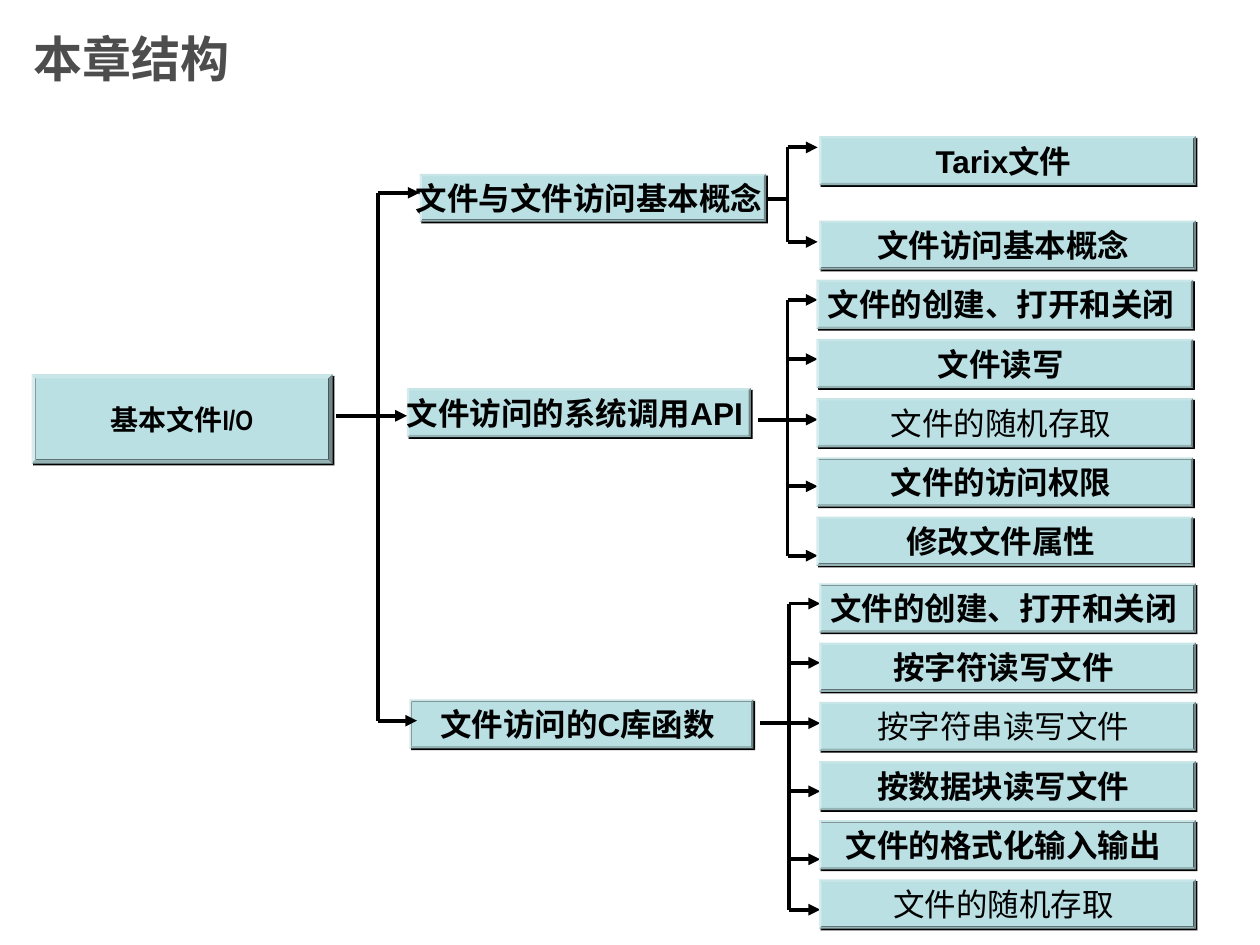
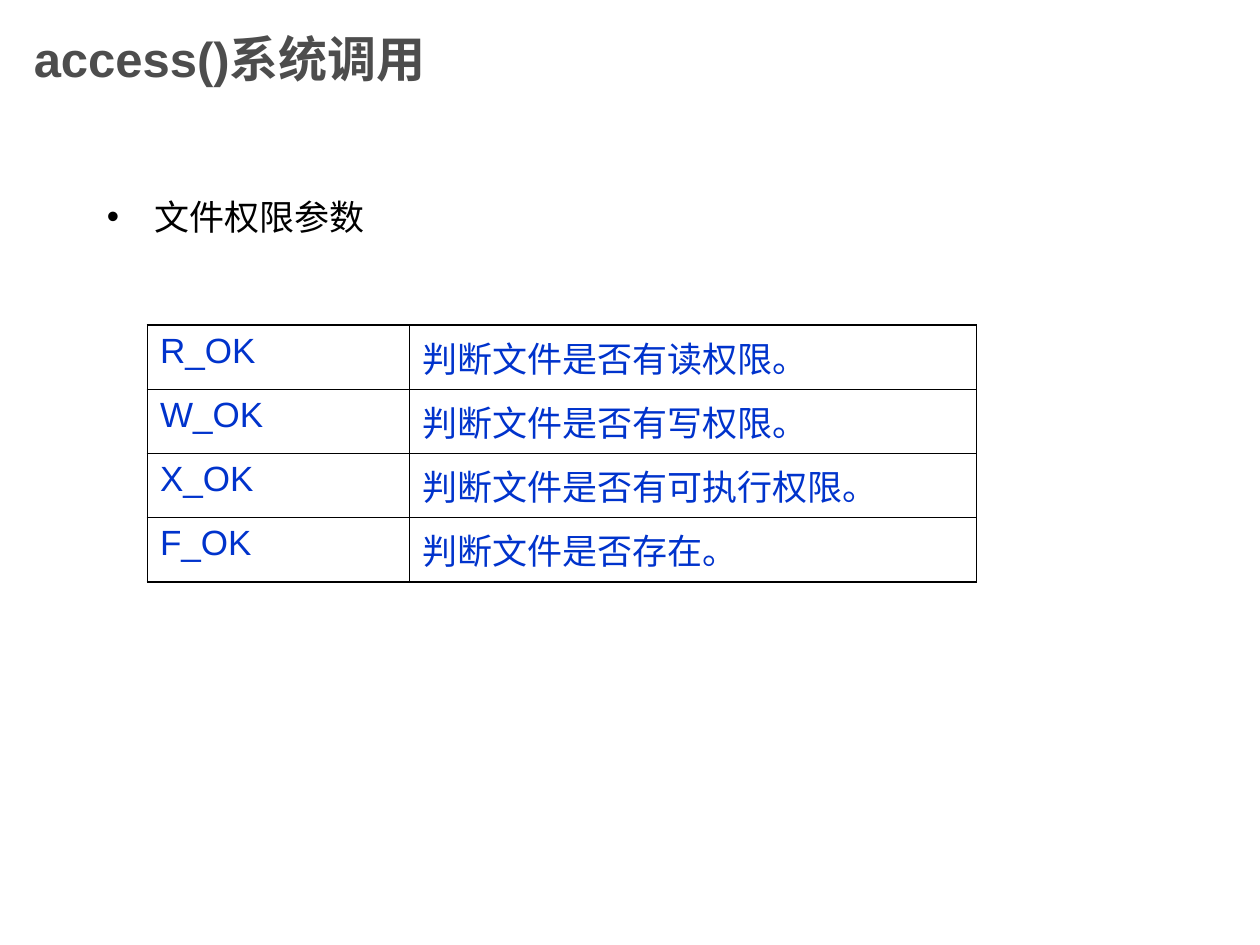
"""Builds the chapter structure slide and the access() parameter slide."""
from dataclasses import dataclass

from lxml import etree
from pptx import Presentation
from pptx.dml.color import RGBColor
from pptx.enum.shapes import MSO_CONNECTOR, MSO_SHAPE
from pptx.enum.text import MSO_ANCHOR, PP_ALIGN
from pptx.oxml.ns import qn
from pptx.util import Pt

PX = 9144
BEVEL = MSO_SHAPE.BEVEL
STRAIGHT = MSO_CONNECTOR.STRAIGHT
MIDDLE = MSO_ANCHOR.MIDDLE
CENTER = PP_ALIGN.CENTER
LEFT = PP_ALIGN.LEFT


@dataclass(frozen=True)
class Theme:
    black: str = "000000"
    title: str = "4D4D4D"
    box: str = "BBE0E3"
    blue: str = "0033CC"
    font: str = "Arial"
    narrow: str = "Arial Narrow"
    title_size: int = 28
    body_size: int = 20
    box_size: int = 18
    root_size: int = 16
    line: float = 2.25
    outer: float = 1.08
    inner: float = 0.45


THEME = Theme()
LEAF_W, BOX_H = 299, 39
ROOT = (25, 297, 239, 71)
ROOT_STEM, ROOT_TRUNK = (267, 330), 300
ROOT_ENDS = [(333, 153), (323, 330), (331, 572)]
REGULAR = {"文件的随机存取", "按字符串读写文件"}

BRANCHES = [
    dict(label="文件与文件访问基本概念", box=(333, 138, 275, 38),
         stem=(608, 158), trunk=625, tip=649, ys=[117, 192],
         left=650, top=108, step=67,
         leaves=["Tarix文件", "文件访问基本概念"]),
    dict(label="文件访问的系统调用API", box=(323, 308, 273, BOX_H),
         stem=(602, 333), trunk=625, tip=649, ys=[238, 285, 333, 386, 441],
         left=648, top=222, step=47,
         leaves=["文件的创建、打开和关闭", "文件读写", "文件的随机存取",
                 "文件的访问权限", "修改文件属性"]),
    dict(label="文件访问的C库函数", box=(325, 555, 273, BOX_H),
         stem=(603, 574), trunk=626, tip=651, ys=[479, 526, 574, 628, 682, 722],
         left=650, top=463, step=47,
         leaves=["文件的创建、打开和关闭", "按字符读写文件", "按字符串读写文件",
                 "按数据块读写文件", "文件的格式化输入输出", "文件的随机存取"]),
]

PERMISSIONS = [
    ("R_OK", "判断文件是否有读权限。"),
    ("W_OK", "判断文件是否有写权限。"),
    ("X_OK", "判断文件是否有可执行权限。"),
    ("F_OK", "判断文件是否存在。"),
]


def px(*values):
    return [v * PX for v in values]


def set_format(obj, **values):
    for name, value in values.items():
        setattr(obj, name, value)


def add_xml(parent, tag, **attrs):
    return etree.SubElement(parent, qn(tag), attrs)


def write(tf, text, size, color, bold=False, font=THEME.font, before=0, align=LEFT):
    p = tf.paragraphs[0]
    set_format(p, alignment=align, space_before=Pt(before))
    r = p.add_run()
    r.text = text
    set_format(r.font, name=font, size=Pt(size), bold=bold)
    r.font.color.rgb = RGBColor.from_string(color)
    return p


def add_text(sl, box, text, size, color, bold=False, before=0, **frame):
    tf = sl.shapes.add_textbox(*px(*box)).text_frame
    set_format(tf, word_wrap=True, **frame)
    return write(tf, text, size, color, bold, before=before)


def add_title(sl, text):
    add_text(sl, (17, 0, 750, 92), text, THEME.title_size, THEME.title,
             bold=True, vertical_anchor=MIDDLE)


def add_bullet(sl, box, text):
    p = add_text(sl, box, text, THEME.body_size, THEME.black, before=5)
    pPr = p._p.get_or_add_pPr()
    pPr.set("marL", str(38 * PX))
    pPr.set("indent", str(-38 * PX))
    add_xml(pPr, "a:buFont", typeface=THEME.font)
    add_xml(pPr, "a:buChar", char="•")


def add_box(sl, box, text, size=THEME.box_size, font=THEME.font, before=11.2, right=16):
    sp = sl.shapes.add_shape(BEVEL, *px(*box))
    sp.adjustments[0] = 0.047
    sp.fill.solid()
    sp.fill.fore_color.rgb = RGBColor.from_string(THEME.box)
    sp.line.fill.background()
    sp.shadow.inherit = False
    effects = sp.element.spPr.find(qn("a:effectLst"))
    shadow = add_xml(effects, "a:outerShdw", dist=str(Pt(1.4)), dir="2700000")
    add_xml(shadow, "a:srgbClr", val=THEME.black)
    tf = sp.text_frame
    set_format(tf, word_wrap=False, vertical_anchor=MIDDLE, margin_right=right * PX)
    write(tf, text, size, THEME.black, text not in REGULAR, font, before, CENTER)


def add_line(sl, start, end, arrow=False):
    c = sl.shapes.add_connector(STRAIGHT, *px(*start, *end))
    c.line.width = Pt(THEME.line)
    c.line.color.rgb = RGBColor.from_string(THEME.black)
    if arrow:
        add_xml(c.line._get_or_add_ln(), "a:tailEnd", type="triangle")
    add_xml(c.element.spPr, "a:effectLst")


def add_fork(sl, stem, trunk, ends):
    add_line(sl, stem, (trunk, stem[1]))
    add_line(sl, (trunk, ends[0][1]), (trunk, ends[-1][1]))
    for tip, y in ends:
        add_line(sl, (trunk, y), (tip, y), arrow=True)


def add_branch(sl, b):
    add_fork(sl, b["stem"], b["trunk"], [(b["tip"], y) for y in b["ys"]])
    add_box(sl, b["box"], b["label"])
    for i, leaf in enumerate(b["leaves"]):
        add_box(sl, (b["left"], b["top"] + i * b["step"], LEAF_W, BOX_H), leaf)


def set_borders(cell, widths):
    tcPr = cell._tc.get_or_add_tcPr()
    for i, (side, width) in enumerate(widths.items()):
        ln = add_xml(tcPr, f"a:ln{side}", w=str(Pt(width)))
        add_xml(add_xml(ln, "a:solidFill"), "a:srgbClr", val=THEME.black)
        tcPr.insert(i, ln)


def add_grid(sl, left, top, widths, row_h, rows):
    last_row, last_col = len(rows) - 1, len(widths) - 1
    frame = sl.shapes.add_table(len(rows), len(widths),
                                *px(left, top, sum(widths), row_h * len(rows)))
    table = frame.table
    set_format(table, first_row=False, horz_banding=False)
    for col, width in zip(table.columns, widths):
        col.width = width * PX
    for i, row in enumerate(rows):
        table.rows[i].height = row_h * PX
        for j, text in enumerate(row):
            cell = table.cell(i, j)
            cell.fill.background()
            write(cell.text_frame, text, THEME.body_size, THEME.blue, before=5)
            edges = dict(L=j == 0, R=j == last_col, T=i == 0, B=i == last_row)
            set_borders(cell, {side: THEME.outer if edge else THEME.inner
                               for side, edge in edges.items()})


def add_structure_slide(prs, blank):
    sl = prs.slides.add_slide(blank)
    add_title(sl, "本章结构")
    add_box(sl, ROOT, "基本文件I/O", THEME.root_size, THEME.narrow, before=10, right=10)
    for branch in BRANCHES:
        add_branch(sl, branch)
    add_fork(sl, ROOT_STEM, ROOT_TRUNK, ROOT_ENDS)


def add_access_slide(prs, blank):
    sl = prs.slides.add_slide(blank)
    add_title(sl, "access()系统调用")
    add_bullet(sl, (75, 150, 417, 517), "文件权限参数")
    add_grid(sl, 117, 258, [208, 450], 51, PERMISSIONS)


def main():
    prs = Presentation()
    set_format(prs, slide_width=1000 * PX, slide_height=750 * PX)
    blank = prs.slide_layouts[6]
    add_structure_slide(prs, blank)
    add_access_slide(prs, blank)
    prs.save("out.pptx")


if __name__ == "__main__":
    main()
